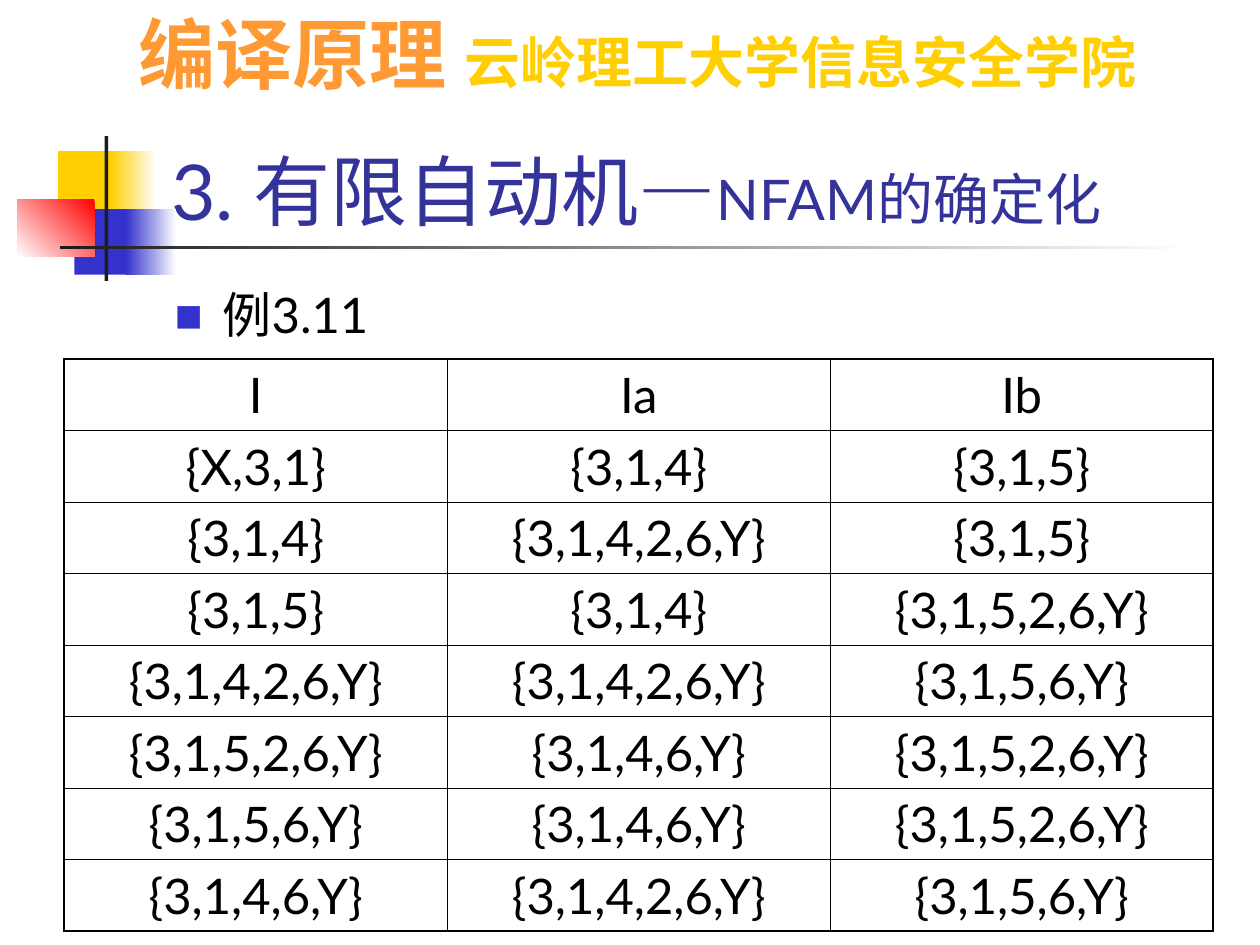
from typing import NamedTuple

from lxml.etree import SubElement
from pptx import Presentation
from pptx.dml.color import RGBColor
from pptx.enum.shapes import MSO_SHAPE
from pptx.enum.text import MSO_ANCHOR, MSO_AUTO_SIZE, PP_ALIGN
from pptx.oxml.ns import qn
from pptx.util import Inches, Pt

FONT = "Lato"
BLACK, WHITE, DARK = "000000", "FFFFFF", "1C1C1C"
YELLOW, BLUE, RED = "FFCF01", "3333CC", "FF0000"
ORANGE, NAVY = "FF9933", "333399"
THIN, THICK = 0.45, 1.08


class Block(NamedTuple):
    left: float
    top: float
    width: float
    height: float
    color: str
    end_color: str = ""
    angle: int = 180


BLOCKS = [
    Block(0.46, 1.2, 0.48, 0.52, YELLOW),
    Block(0.88, 1.2, 0.36, 0.52, WHITE, YELLOW),
    Block(0.59, 1.66, 0.46, 0.52, BLUE),
    Block(1, 1.66, 0.4, 0.52, WHITE, BLUE),
    Block(0.14, 1.58, 0.61, 0.46, RED, WHITE, 225),
    Block(0.83, 1.08, 0.03, 1.15, DARK),
    Block(0.48, 1.95, 9, 0.03, WHITE, DARK),
]

ROWS = [
    ("I", "Ia", "Ib"),
    ("{X,3,1}", "{3,1,4}", "{3,1,5}"),
    ("{3,1,4}", "{3,1,4,2,6,Y}", "{3,1,5}"),
    ("{3,1,5}", "{3,1,4}", "{3,1,5,2,6,Y}"),
    ("{3,1,4,2,6,Y}", "{3,1,4,2,6,Y}", "{3,1,5,6,Y}"),
    ("{3,1,5,2,6,Y}", "{3,1,4,6,Y}", "{3,1,5,2,6,Y}"),
    ("{3,1,5,6,Y}", "{3,1,4,6,Y}", "{3,1,5,2,6,Y}"),
    ("{3,1,4,6,Y}", "{3,1,4,2,6,Y}", "{3,1,5,6,Y}"),
]


def rgb(color: str) -> RGBColor:
    return RGBColor.from_string(color)


def box(left: float, top: float, width: float, height: float) -> list:
    return [Inches(v) for v in (left, top, width, height)]


def add_block(s, block: Block) -> None:
    sp = s.shapes.add_shape(MSO_SHAPE.RECTANGLE, *box(*block[:4]))
    sp.shadow.inherit = False
    sp.line.fill.background()
    if block.end_color:
        sp.fill.gradient()
        sp.fill.gradient_angle = block.angle
        for stop, color in zip(sp.fill.gradient_stops, (block.color, block.end_color)):
            stop.color.rgb = rgb(color)
    else:
        sp.fill.solid()
        sp.fill.fore_color.rgb = rgb(block.color)


def add_run(p, text: str, size: int, color: str, bold: bool = False) -> None:
    r = p.add_run()
    r.text = text
    r.font.name = FONT
    r.font.size = Pt(size)
    r.font.bold = bold
    r.font.color.rgb = rgb(color)


def add_text(s, left: float, top: float, width: float, height: float):
    """Add a wrapping text box and return its first paragraph."""
    tf = s.shapes.add_textbox(*box(left, top, width, height)).text_frame
    tf.word_wrap = True
    return tf.paragraphs[0]


def add_bullet(p) -> None:
    pPr = p._p.get_or_add_pPr()
    pPr.set("marL", str(Inches(0.38)))
    pPr.set("indent", str(Inches(-0.38)))
    SubElement(SubElement(pPr, qn("a:buClr")), qn("a:srgbClr"), val=BLUE)
    SubElement(pPr, qn("a:buSzPct"), val="60000")
    SubElement(pPr, qn("a:buFont"), typeface=FONT)
    SubElement(pPr, qn("a:buChar"), char="■")


def set_borders(cell, widths: dict[str, float]) -> None:
    tcPr = cell._tc.get_or_add_tcPr()
    for i, (side, width) in enumerate(widths.items()):
        ln = SubElement(tcPr, qn(f"a:ln{side}"), w=str(Pt(width)))
        SubElement(SubElement(ln, qn("a:solidFill")), qn("a:srgbClr"), val=BLACK)
        tcPr.insert(i, ln)  # borders come before the fill


def add_state_table(s) -> None:
    n_rows, n_cols = len(ROWS), len(ROWS[0])
    table = s.shapes.add_table(n_rows, n_cols, *box(0.51, 2.85, 9.12, 4.53)).table
    table.first_row = table.horz_banding = False
    for i, row in enumerate(ROWS):
        for j, text in enumerate(row):
            cell = table.cell(i, j)
            cell.fill.background()
            set_borders(cell, {
                "L": THICK if j == 0 else THIN,
                "R": THICK if j == n_cols - 1 else THIN,
                "T": THICK if i == 0 else THIN,
                "B": THICK if i == n_rows - 1 else THIN,
            })
            p = cell.text_frame.paragraphs[0]
            p.alignment = PP_ALIGN.CENTER
            p.space_before = Pt(7)
            add_run(p, text, 28, BLACK)


def set_title(s) -> None:
    title = s.shapes.title
    title.left, title.top, title.width, title.height = box(1.26, 0.67, 8.52, 1.25)
    tf = title.text_frame
    tf.auto_size = MSO_AUTO_SIZE.NONE
    tf.vertical_anchor = MSO_ANCHOR.BOTTOM
    p = tf.paragraphs[0]
    p.alignment = PP_ALIGN.LEFT
    add_run(p, "3. 有限自动机—", 44, NAVY)
    add_run(p, "NFAM的确定化", 32, NAVY)


def main() -> None:
    prs = Presentation()
    prs.slide_width, prs.slide_height = Inches(10), Inches(7.5)
    s = prs.slides.add_slide(prs.slide_layouts[5])

    for block in BLOCKS:
        add_block(s, block)

    p = add_text(s, 1, 0, 9, 0.84)
    add_run(p, "编译原理 ", 44, ORANGE, bold=True)
    add_run(p, "云岭理工大学信息安全学院", 32, YELLOW, bold=True)

    set_title(s)

    p = add_text(s, 1.29, 2.21, 4.17, 0.6)
    p.space_before = Pt(7)
    add_bullet(p)
    add_run(p, "例3.11", 28, BLACK)

    add_state_table(s)
    prs.save("out.pptx")


if __name__ == "__main__":
    main()
